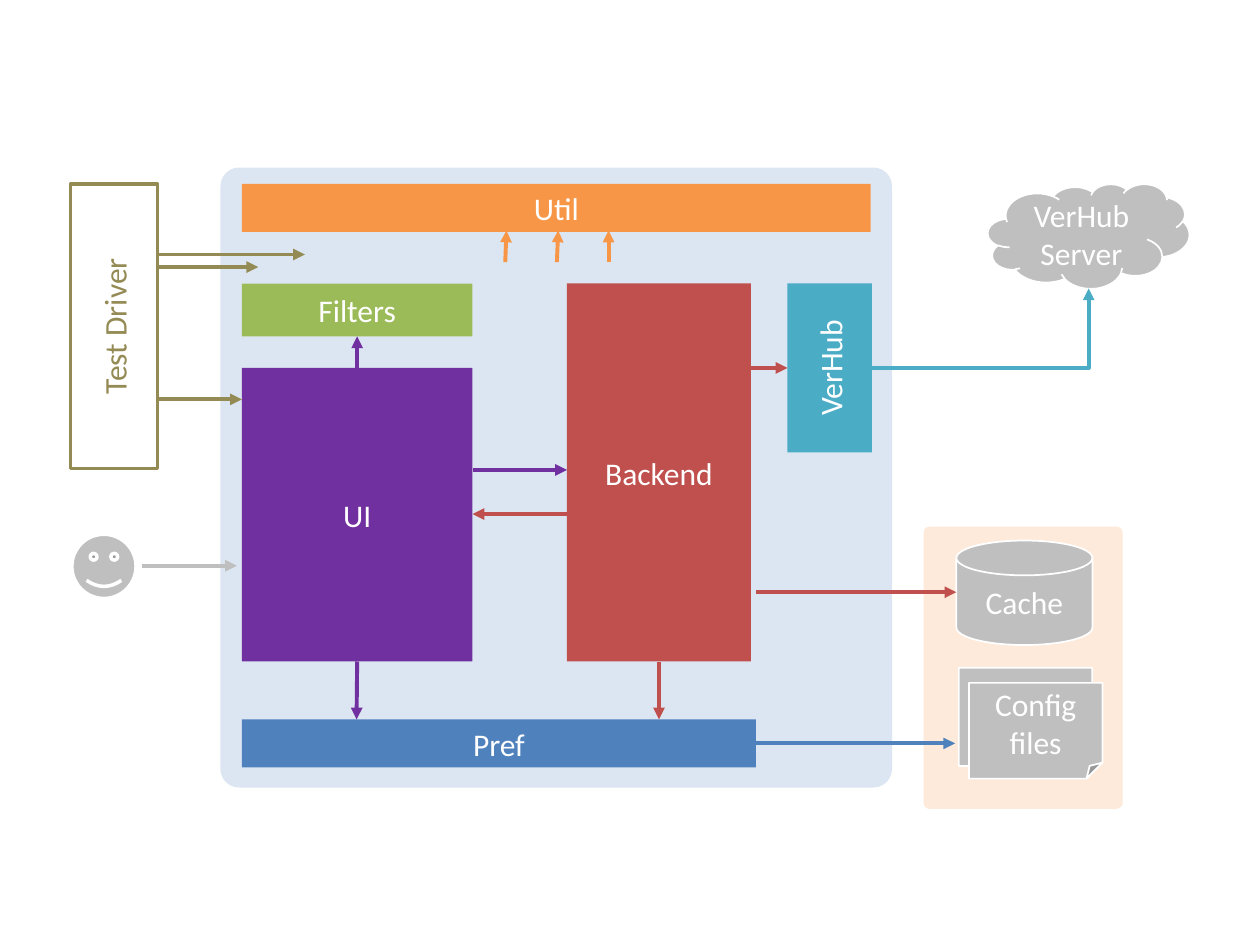
from lxml import etree
from pptx import Presentation
from pptx import util as u
from pptx.dml.color import RGBColor
from pptx.enum import shapes, text
from pptx.oxml.ns import qn

KIND = shapes.MSO_SHAPE
WHITE, GREY, OLIVE = "FFFFFF", "BFBFBF", "948A54"
PURPLE, RED, TEAL = "7030A0", "C0504D", "4BACC6"
ORANGE, BLUE, GREEN = "F79646", "4F81BD", "9BBB59"
TOP, LEFT, BOTTOM, RIGHT = range(4)  # rectangle connection sites

# key, preset, (left, top, width, height), fill, label
PANELS = [
    ("Storage", KIND.ROUNDED_RECTANGLE, (7.33, 4.18, 1.58, 2.24), "FDEADA", ""),
    ("Application", KIND.ROUNDED_RECTANGLE, (1.75, 1.33, 5.33, 4.92), "DCE6F2", ""),
]
COMPONENTS = [
    ("UI", KIND.RECTANGLE, (1.92, 2.92, 1.83, 2.33), PURPLE, "UI"),
    ("Filters", KIND.RECTANGLE, (1.92, 2.25, 1.83, 0.42), GREEN, "Filters"),
    ("Backend", KIND.RECTANGLE, (4.5, 2.25, 1.46, 3), RED, "Backend"),
    ("Host client", KIND.RECTANGLE, (6.25, 2.25, 0.67, 1.34), TEAL, "VerHub"),
    ("Util", KIND.RECTANGLE, (1.92, 1.46, 4.99, 0.38), ORANGE, "Util"),
    ("Pref", KIND.RECTANGLE, (1.92, 5.71, 4.08, 0.38), BLUE, "Pref"),
    ("Test driver", KIND.RECTANGLE, (0.56, 1.46, 0.69, 2.26), WHITE, "Test Driver"),
]
# These also carry an outline width, in white
EXTERNALS = [
    ("Cache", KIND.FLOWCHART_MAGNETIC_DISK, (7.59, 4.29, 1.08, 0.83), GREY, "Cache", 1),
    ("Back file", KIND.FOLDED_CORNER, (7.61, 5.3, 1.06, 0.78), GREY, "", 1),
    ("Front file", KIND.FOLDED_CORNER, (7.69, 5.42, 1.06, 0.76), GREY, "Config files", 1),
    ("User", KIND.SMILEY_FACE, (0.57, 4.24, 0.51, 0.51), GREY, "", 2),
    ("Server", KIND.CLOUD, (7.84, 1.46, 1.6, 0.83), GREY, "VerHub Server", 1),
]
VERTICAL = ("Host client", "Test driver")

# start, end, colour, joined start, joined end
ARROWS = [
    ((3.75, 3.73), (4.5, 3.73), PURPLE, None, None),
    ((2.83, 2.92), (2.83, 2.67), PURPLE, ("UI", TOP), ("Filters", BOTTOM)),
    ((2.83, 5.25), (2.83, 5.71), PURPLE, ("UI", BOTTOM), None),
    ((5.23, 5.25), (5.23, 5.71), RED, ("Backend", BOTTOM), None),
    ((4.5, 4.08), (3.75, 4.08), RED, None, None),
    ((4.01, 2.08), (4.02, 1.83), ORANGE, None, None),
    ((4.42, 2.08), (4.43, 1.83), ORANGE, None, None),
    ((4.83, 2.08), (4.83, 1.83), ORANGE, None, None),
    ((5.96, 2.92), (6.25, 2.92), RED, None, ("Host client", LEFT)),
    ((6, 4.7), (7.59, 4.7), RED, None, None),
    ((6, 5.9), (7.58, 5.9), BLUE, ("Pref", RIGHT), None),
    ((1.13, 4.49), (1.88, 4.49), GREY, None, None),
    ((1.25, 3.17), (1.92, 3.17), OLIVE, None, None),
    ((1.25, 2.02), (2.42, 2.02), OLIVE, None, None),
    ((1.25, 2.12), (2.05, 2.12), OLIVE, None, None),
]
SERVER_ARROW = ((6.92, 2.92), (8.64, 2.29), TEAL)


def color(value):
    return RGBColor.from_string(value)


def add_part(slide, preset, box, fill, label, outline=None, ink=WHITE, vertical=False):
    shape = slide.shapes.add_shape(preset, *map(u.Inches, box))
    shape.shadow.inherit = False
    shape.fill.solid()
    shape.fill.fore_color.rgb = color(fill)
    if outline:
        shape.line.color.rgb = color(ink)
        shape.line.width = u.Pt(outline)
    else:
        shape.line.fill.background()
    if preset == KIND.ROUNDED_RECTANGLE:
        shape.adjustments[0] = 0.03
    if label:
        frame = shape.text_frame
        frame.text = label
        frame.word_wrap = True
        frame.vertical_anchor = text.MSO_ANCHOR.MIDDLE
        paragraph = frame.paragraphs[0]
        paragraph.alignment = text.PP_ALIGN.CENTER
        font = paragraph.runs[0].font
        font.name, font.size = "Calibri", u.Pt(18)
        font.color.rgb = color(ink)
        if vertical:
            frame._txBody.bodyPr.set("vert", "vert270")
    return shape


def add_arrow(slide, start, end, stroke, kind=shapes.MSO_CONNECTOR.STRAIGHT):
    connector = slide.shapes.add_connector(kind, *map(u.Inches, start + end))
    connector.line.color.rgb = color(stroke)
    connector.line.width = u.Pt(2.25)
    etree.SubElement(connector.line._get_or_add_ln(), qn("a:tailEnd"), type="triangle")
    etree.SubElement(connector._element.spPr, qn("a:effectLst"))
    return connector


def main():
    presentation = Presentation()
    presentation.slide_width, presentation.slide_height = u.Inches(10), u.Inches(7.5)
    slide = presentation.slides.add_slide(presentation.slide_layouts[6])

    # Panels, components and external parts
    parts = {}
    for key, *part in PANELS + COMPONENTS + EXTERNALS:
        style = {"outline": 2, "ink": OLIVE} if key == "Test driver" else {}
        parts[key] = add_part(slide, *part, vertical=key in VERTICAL, **style)

    # Straight arrows, joined where they meet the middle of a side
    for start, end, stroke, source, target in ARROWS:
        connector = add_arrow(slide, start, end, stroke)
        if source:
            connector.begin_connect(parts[source[0]], source[1])
        if target:
            connector.end_connect(parts[target[0]], target[1])

    # Single-bend arrow up to the server
    elbow = add_arrow(slide, *SERVER_ARROW, kind=shapes.MSO_CONNECTOR.ELBOW)
    elbow._element.spPr.find(qn("a:prstGeom")).set("prst", "bentConnector2")

    presentation.save("out.pptx")


if __name__ == "__main__":
    main()
